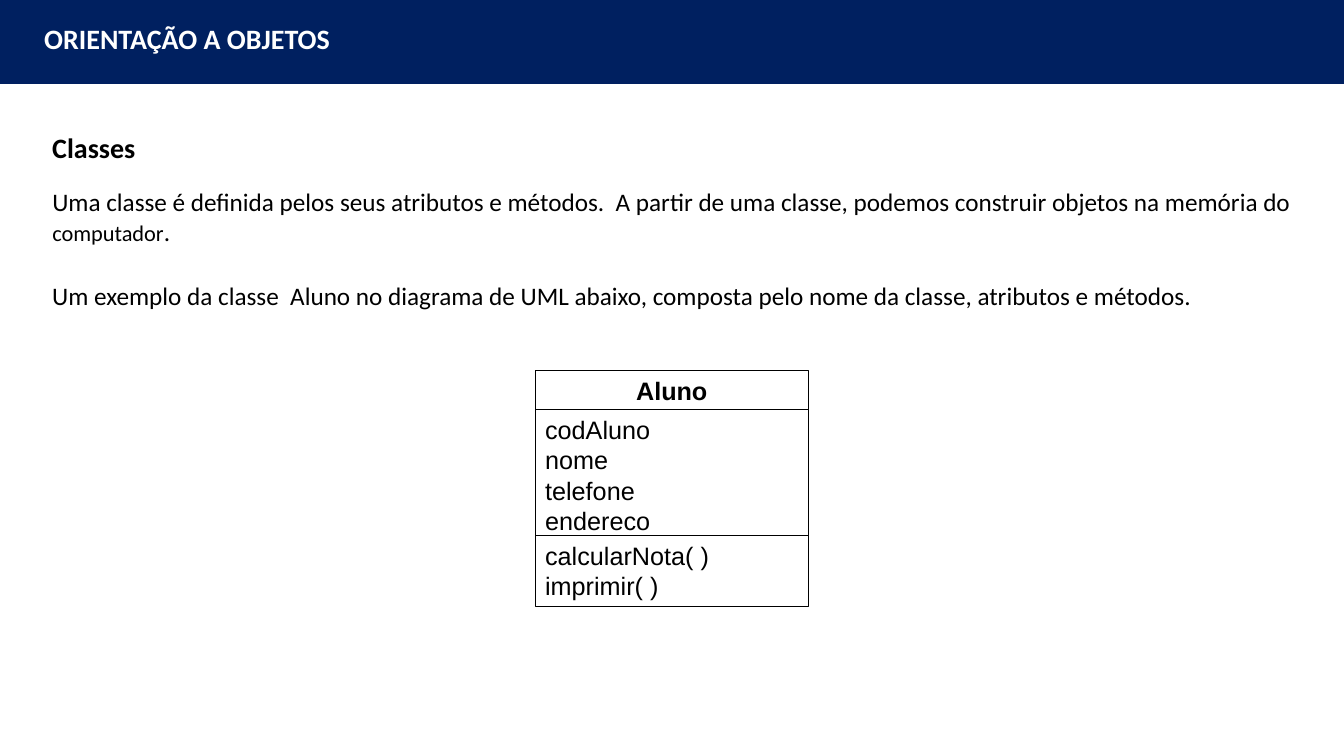
from dataclasses import dataclass

from pptx import Presentation
from pptx.dml.color import RGBColor
from pptx.enum.shapes import MSO_SHAPE
from pptx.enum.text import MSO_ANCHOR, PP_ALIGN
from pptx.shapes.autoshape import Shape
from pptx.slide import Slide
from pptx.util import Pt

NAVY, WHITE, BLACK = "002060", "FFFFFF", "000000"
BODY_LEFT = 30.25
CLASS_LEFT, CLASS_WIDTH = 382.3, 195.1


@dataclass
class Run:
    text: str
    size: float | None = None


@dataclass
class Label:
    left: float
    top: float
    width: float
    height: float
    runs: list[Run]
    size: float = 18
    color: str = BLACK
    bold: bool = False
    wrap: bool = True


@dataclass
class Compartment:
    top: float
    height: float
    lines: list[str]
    heading: bool = False


LABELS = [
    Label(24.5, 11.5, 220.3, 31.5, [Run("ORIENTAÇÃO A OBJETOS")], 20, WHITE, True, False),
    Label(BODY_LEFT, 90, 75, 31.5, [Run("Classes")], 20, BLACK, True, False),
    Label(BODY_LEFT, 129.6, 929.5, 51, [
        Run("Uma classe é definida pelos seus atributos e métodos.  "
            "A partir de uma classe, podemos construir objetos na memória do "),
        Run("computador", 16),
        Run("."),
    ]),
    Label(BODY_LEFT, 196.6, 890.6, 29, [
        Run("Um exemplo da classe  Aluno no diagrama de UML abaixo, "
            "composta pelo nome da classe, atributos e métodos."),
    ]),
]

COMPARTMENTS = [
    Compartment(264.5, 28.5, ["Aluno"], heading=True),
    Compartment(292.5, 94.5, ["codAluno", "nome", "telefone", "endereco"]),
    Compartment(382.5, 51, ["calcularNota( )", "imprimir( )"]),
]


def rgb(color: str) -> RGBColor:
    return RGBColor.from_string(color)


def add_rectangle(slide: Slide, left: float, top: float, width: float,
                  height: float, fill: str) -> Shape:
    shape = slide.shapes.add_shape(
        MSO_SHAPE.RECTANGLE, Pt(left), Pt(top), Pt(width), Pt(height))
    shape.shadow.inherit = False
    shape.fill.solid()
    shape.fill.fore_color.rgb = rgb(fill)
    shape.line.fill.background()
    return shape


def set_font(paragraph, name: str, size: float, color: str, bold: bool) -> None:
    font = paragraph.font
    font.name, font.size, font.bold = name, Pt(size), bold
    font.color.rgb = rgb(color)


def add_label(slide: Slide, label: Label) -> None:
    shape = slide.shapes.add_textbox(
        Pt(label.left), Pt(label.top), Pt(label.width), Pt(label.height))
    shape.text_frame.word_wrap = label.wrap
    paragraph = shape.text_frame.paragraphs[0]
    set_font(paragraph, "Calibri", label.size, label.color, label.bold)
    for part in label.runs:
        run = paragraph.add_run()
        run.text = part.text
        if part.size:
            run.font.size = Pt(part.size)


def add_compartment(slide: Slide, compartment: Compartment) -> None:
    shape = add_rectangle(slide, CLASS_LEFT, compartment.top, CLASS_WIDTH,
                          compartment.height, WHITE)
    shape.line.color.rgb = rgb(BLACK)
    shape.line.width = Pt(0.75)
    frame = shape.text_frame
    frame.word_wrap = True
    frame.vertical_anchor = MSO_ANCHOR.TOP
    frame.text = "\n".join(compartment.lines)
    for paragraph in frame.paragraphs:
        paragraph.alignment = PP_ALIGN.CENTER if compartment.heading else PP_ALIGN.LEFT
        set_font(paragraph, "Arial", 18, BLACK, compartment.heading)


def main() -> None:
    presentation = Presentation()
    presentation.slide_width, presentation.slide_height = Pt(960), Pt(540)
    slide = presentation.slides.add_slide(presentation.slide_layouts[6])

    # Header band
    add_rectangle(slide, -0.5, 0, 961, 60, NAVY)

    # Title and explanation
    for label in LABELS:
        add_label(slide, label)

    # UML class diagram
    for compartment in COMPARTMENTS:
        add_compartment(slide, compartment)

    presentation.save("out.pptx")


if __name__ == "__main__":
    main()
